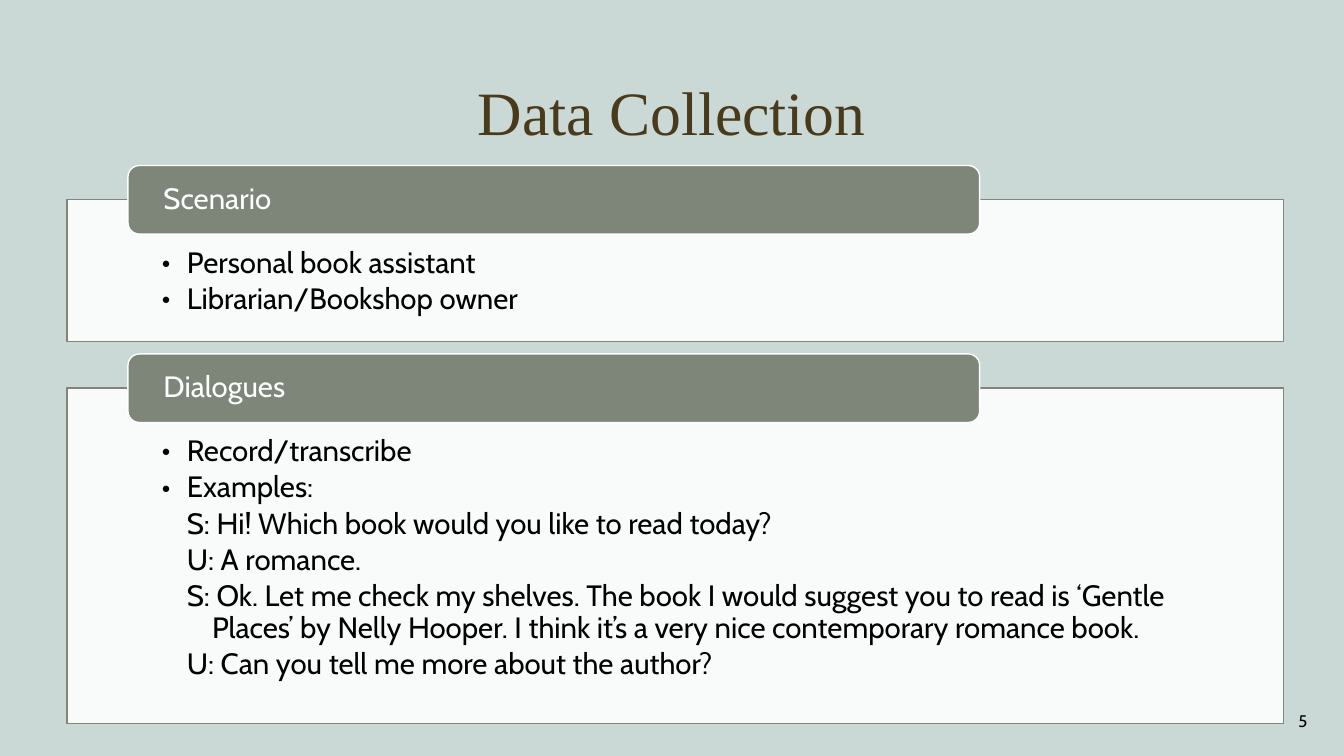
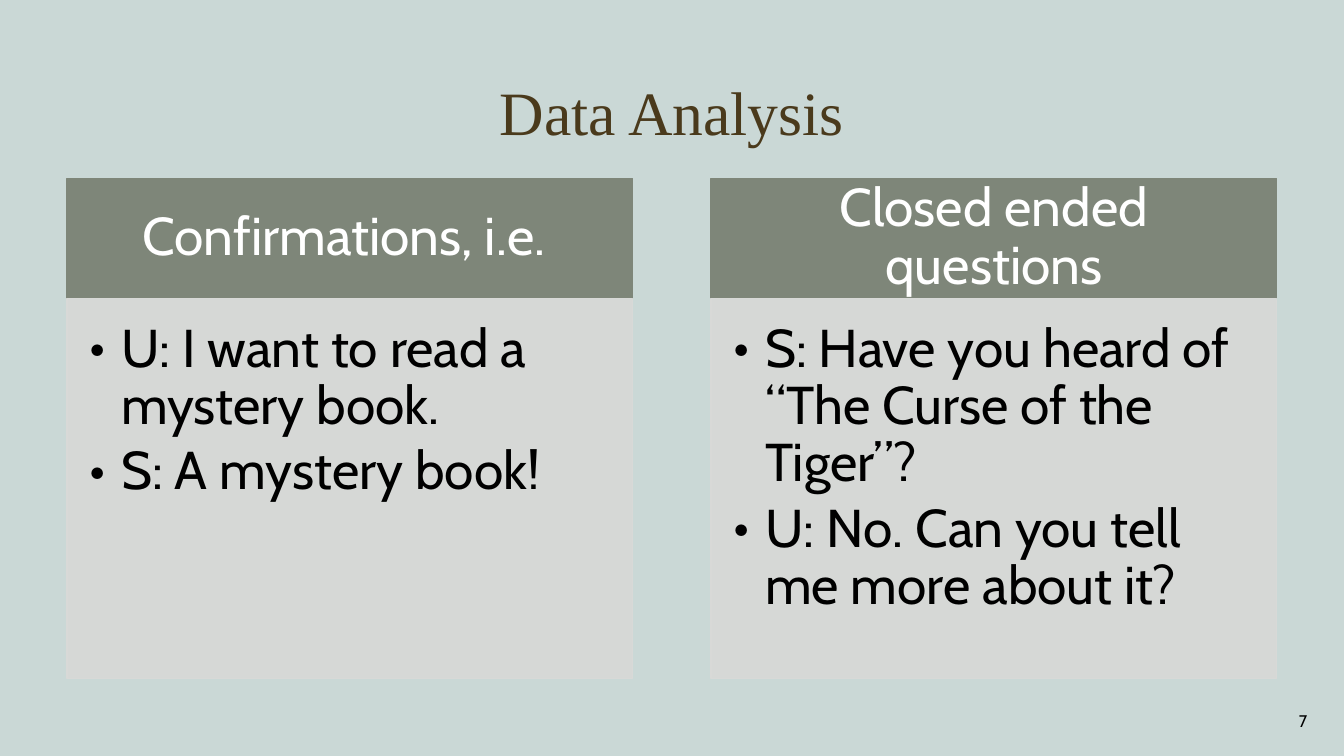
"""Build the data collection and data analysis slides."""
from lxml import etree
from pptx import Presentation
from pptx.dml.color import RGBColor
from pptx.enum import shapes, text
from pptx.oxml import ns
from pptx.util import Pt

BACKGROUND = RGBColor(0xCA, 0xD8, 0xD6)
SAGE = RGBColor(0x7E, 0x86, 0x79)
GREY = RGBColor(0xD8, 0xD9, 0xD7)
BROWN = RGBColor(0x4A, 0x3A, 0x1C)
WHITE = RGBColor(0xFF, 0xFF, 0xFF)
BLACK = RGBColor(0, 0, 0)
TITLE_FONT = "Times New Roman"
BODY_FONT = "Cabin"
RECTANGLE = shapes.MSO_SHAPE.RECTANGLE
ROUNDED = shapes.MSO_SHAPE.ROUNDED_RECTANGLE
LEFT, CENTER, RIGHT = text.PP_ALIGN.LEFT, text.PP_ALIGN.CENTER, text.PP_ALIGN.RIGHT
TOP, MIDDLE = text.MSO_ANCHOR.TOP, text.MSO_ANCHOR.MIDDLE

PANELS = [
    ("Scenario", 101.5, [
        (1, "Personal book assistant"),
        (1, "Librarian/Bookshop owner"),
    ]),
    ("Dialogues", 239.8, [
        (1, "Record/transcribe"),
        (1, "Examples:"),
        (2, "S: Hi! Which book would you like to read today?"),
        (2, "U: A romance."),
        (2, "S: Ok. Let me check my shelves. The book I would suggest you to read is "
            "‘Gentle Places’ by Nelly Hooper. I think it’s a very nice contemporary "
            "romance book."),
        (2, "U: Can you tell me more about the author?"),
    ]),
]
COLUMNS = [
    ("Confirmations, i.e. ", [
        (1, "U: I want to read a mystery book."),
        (1, "S: A mystery book!"),
    ]),
    ("Closed ended questions", [
        (1, "S: Have you heard of “The Curse of the Tiger”?"),
        (1, "U: No. Can you tell me more about it?"),
    ]),
]

MARGIN = 48
PANEL_TOP, PANEL_WIDTH, PANEL_GAP = 142.6, 869, 33.1
TAB_LEFT, TAB_WIDTH, TAB_HEIGHT, TAB_RISE = 91.4, 608.4, 49, 24.4
COLUMN_TOP, COLUMN_WIDTH, COLUMN_STEP = 127.4, 404, 460
HEADER_HEIGHT, BODY_HEIGHT = 86, 271.4


def add_span(para, words, size, color, font=BODY_FONT):
    span = para.add_run()
    span.text = words
    span.font.size = Pt(size)
    span.font.name = font
    span.font.color.rgb = color


def set_frame(frame, anchor, insets):
    frame.word_wrap = True
    frame.vertical_anchor = anchor
    (frame.margin_left, frame.margin_top,
     frame.margin_right, frame.margin_bottom) = [Pt(inset) for inset in insets]


def add_box(page, kind, area, fill, line, opacity=None):
    box = page.shapes.add_shape(kind, *[Pt(length) for length in area])
    box.shadow.inherit = False
    box.fill.solid()
    box.fill.fore_color.rgb = fill
    box.line.color.rgb = line
    box.line.width = Pt(1)
    if opacity:
        color = box._element.spPr.find(ns.qn("a:solidFill"))[0]
        etree.SubElement(color, ns.qn("a:alpha"), val=str(opacity * 1000))
    return box


def add_label(box, words, size, align, insets):
    set_frame(box.text_frame, MIDDLE, insets)
    para = box.text_frame.paragraphs[0]
    para.alignment = align
    para.line_spacing = 0.9
    add_span(para, words, size, WHITE)


def add_list(box, items, size, indent, insets):
    frame = box.text_frame
    set_frame(frame, TOP, insets)
    for index, (level, words) in enumerate(items):
        para = frame.add_paragraph() if index else frame.paragraphs[0]
        para.level = level
        para.alignment = LEFT
        para.line_spacing = 0.9
        para.space_after = Pt(round(size * 0.15, 2))
        properties = para._p.get_or_add_pPr()
        properties.set("marL", str(Pt(indent * level)))
        properties.set("indent", str(-Pt(indent)))
        if level == 1:
            etree.SubElement(properties, ns.qn("a:buFont"), typeface=BODY_FONT)
            etree.SubElement(properties, ns.qn("a:buChar"), char="•")
        add_span(para, words, size, BLACK)


def add_page(deck, title, number):
    page = deck.slides.add_slide(deck.slide_layouts[5])
    heading = page.shapes.title
    heading.left, heading.top, heading.width, heading.height = Pt(66), Pt(30), Pt(828), Pt(104.4)
    heading.text_frame.vertical_anchor = MIDDLE
    para = heading.text_frame.paragraphs[0]
    para.alignment = CENTER
    para.line_spacing = 0.9
    add_span(para, title, 44, BROWN, TITLE_FONT)

    footer = page.shapes.add_textbox(Pt(725), Pt(500.4), Pt(216), Pt(28.8))
    set_frame(footer.text_frame, MIDDLE, (7.2, 3.6, 7.2, 3.6))
    para = footer.text_frame.paragraphs[0]
    para.alignment = RIGHT
    para.space_after = Pt(6)
    add_span(para, number, 12, BLACK)
    return page


def add_panels(page):
    top = PANEL_TOP
    for label, height, items in PANELS:
        panel = add_box(page, RECTANGLE, (MARGIN, top, PANEL_WIDTH, height), WHITE, SAGE, 90)
        add_list(panel, items, 21, 18, (67.5, 34.5, 67.5, 11.5))
        tab = add_box(page, ROUNDED, (TAB_LEFT, top - TAB_RISE, TAB_WIDTH, TAB_HEIGHT),
                      SAGE, WHITE)
        add_label(tab, label, 21, LEFT, (23, 0, 23, 0))
        top += height + PANEL_GAP


def add_columns(page):
    for index, (label, items) in enumerate(COLUMNS):
        left = MARGIN + index * COLUMN_STEP
        header = add_box(page, RECTANGLE, (left, COLUMN_TOP, COLUMN_WIDTH, HEADER_HEIGHT),
                         SAGE, SAGE)
        add_label(header, label, 38, CENTER, (21.6, 12.2, 21.6, 12.2))
        body = add_box(page, RECTANGLE,
                       (left, COLUMN_TOP + HEADER_HEIGHT, COLUMN_WIDTH, BODY_HEIGHT),
                       GREY, GREY, 90)
        add_list(body, items, 38, 22.5, (16, 16, 21.6, 24))


def main():
    deck = Presentation()
    deck.slide_width, deck.slide_height = Pt(960), Pt(540)
    background = deck.slide_master.background.fill
    background.solid()
    background.fore_color.rgb = BACKGROUND
    add_panels(add_page(deck, "Data Collection", "5"))
    add_columns(add_page(deck, "Data Analysis", "7"))
    deck.save("out.pptx")


if __name__ == "__main__":
    main()
